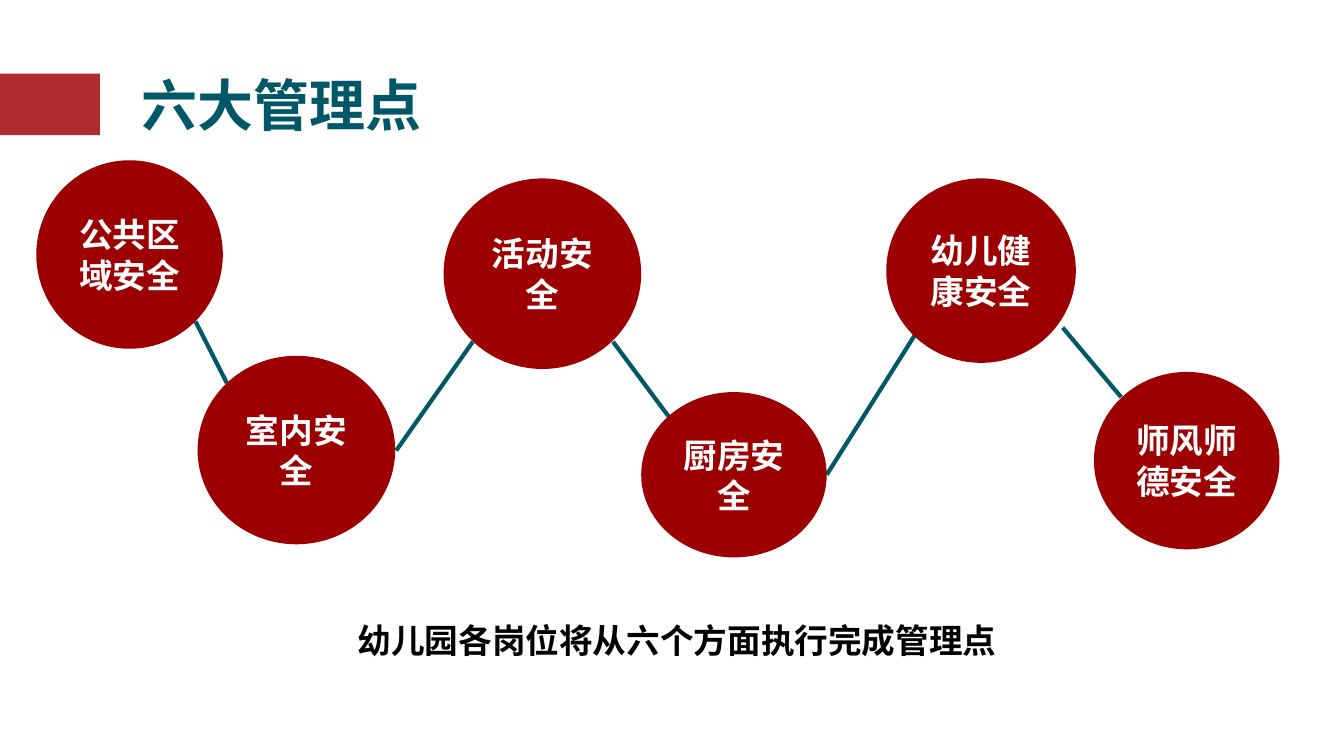
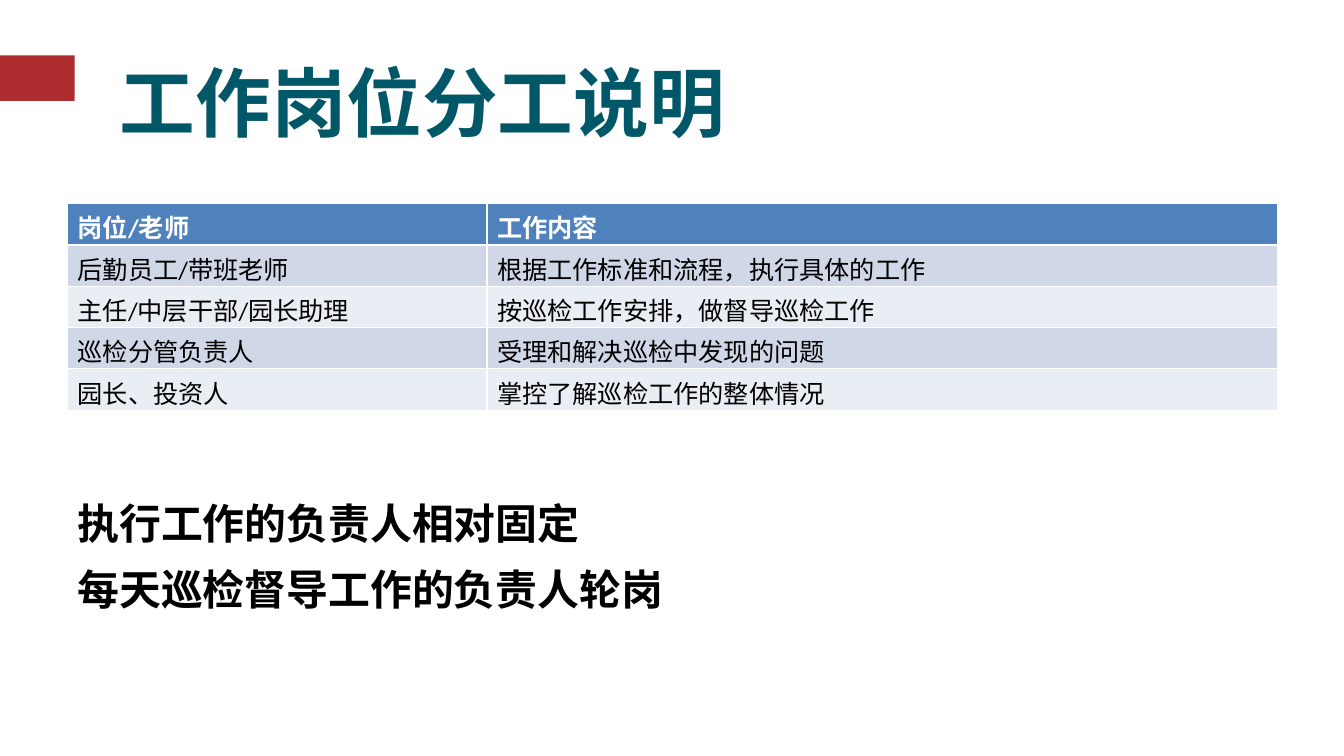
from lxml import etree
from pptx import Presentation
from pptx.dml.color import RGBColor
from pptx.enum.shapes import MSO_CONNECTOR, MSO_SHAPE
from pptx.enum.text import MSO_ANCHOR, PP_ALIGN
from pptx.oxml.ns import qn
from pptx.util import Inches, Pt

STRAIGHT = MSO_CONNECTOR.STRAIGHT
RECTANGLE, OVAL = MSO_SHAPE.RECTANGLE, MSO_SHAPE.OVAL
MIDDLE, TOP = MSO_ANCHOR.MIDDLE, MSO_ANCHOR.TOP
LEFT, CENTER = PP_ALIGN.LEFT, PP_ALIGN.CENTER

COLORS = {
    "teal": "005768", "tab": "AE2C2E", "circle": "9C0000",
    "white": "FFFFFF", "black": "000000",
    "header": "4F81BD", "odd_row": "D0D8E8", "even_row": "E9EDF4",
}
CJK_FONT = "Noto Sans CJK SC"


def write(frame, text, size, color, bold=True, font=CJK_FONT,
          align=LEFT, anchor=MIDDLE, wrap=True, spacing=None):
    """Fill a text frame and format every paragraph alike."""
    frame.text = text
    frame.word_wrap = wrap
    frame.vertical_anchor = anchor
    for paragraph in frame.paragraphs:
        paragraph.alignment = align
        paragraph.line_spacing = spacing
        for run in paragraph.runs:
            run.font.size = Pt(size)
            run.font.bold = bold
            run.font.name = font
            run.font.color.rgb = RGBColor.from_string(COLORS[color])
            east_asian = etree.SubElement(run.font._element, qn("a:ea"))
            east_asian.set("typeface", CJK_FONT)


def add_block(slide, preset, box, color):
    """Add a plain filled shape without outline or shadow."""
    block = slide.shapes.add_shape(preset, *map(Inches, box))
    block.shadow.inherit = False
    block.fill.solid()
    block.fill.fore_color.rgb = RGBColor.from_string(COLORS[color])
    block.line.fill.background()
    return block


prs = Presentation()
prs.slide_width, prs.slide_height = Inches(13.33), Inches(7.5)
blank = prs.slide_layouts[6]

# Shared heading: red tab at the left edge and teal title
headings = [
    ("六大管理点", 40, (1.31, 0.41, 3.3, 1.25), (-0.01, 0.73, 1, 0.61)),
    ("工作岗位分工说明", 54, (1.09, 0.48, 11.5, 1.04), (-0.01, 0.55, 0.75, 0.45)),
]
slides = []
for title, size, title_box, tab_box in headings:
    slide = prs.slides.add_slide(blank)
    heading = slide.shapes.add_textbox(*map(Inches, title_box))
    write(heading.text_frame, title, size, "teal")
    add_block(slide, RECTANGLE, tab_box, "tab")
    slides.append(slide)
points_slide, duties_slide = slides

# Slide 1: six management points joined in a zigzag
links = [
    (1.94, 3.19, 2.25, 3.8),
    (3.93, 4.47, 4.69, 3.39),
    (6.08, 3.39, 6.63, 4.13),
    (8.2, 4.71, 9.07, 3.33),
    (11.12, 3.94, 10.54, 3.25),
]
for ends in links:
    link = points_slide.shapes.add_connector(STRAIGHT, *map(Inches, ends))
    link.line.color.rgb = RGBColor.from_string(COLORS["teal"])
    link.line.width = Pt(3)
    etree.SubElement(link._element.spPr, qn("a:effectLst"))

points = [
    ("公共区域安全", (0.36, 1.59, 1.85, 1.87)),
    ("室内安全", (1.96, 3.53, 1.96, 1.87)),
    ("活动安全", (4.4, 1.77, 1.96, 1.89)),
    ("厨房安全", (6.36, 3.89, 1.84, 1.64)),
    ("幼儿健康安全", (8.79, 1.77, 1.88, 1.83)),
    ("师风师德安全", (10.85, 3.69, 1.84, 1.76)),
]
for name, box in points:
    circle = add_block(points_slide, OVAL, box, "circle")
    write(circle.text_frame, name, 24, "white", align=CENTER)

summary = points_slide.shapes.add_textbox(
    Inches(3.45), Inches(6.1), Inches(6.6), Inches(0.5))
write(summary.text_frame, "幼儿园各岗位将从六个方面执行完成管理点", 24, "black",
      anchor=TOP, wrap=False)

# Slide 2: table of duties and closing remarks
duties = [
    ("岗位/老师", "工作内容"),
    ("后勤员工/带班老师", "根据工作标准和流程，执行具体的工作"),
    ("主任/中层干部/园长助理", "按巡检工作安排，做督导巡检工作"),
    ("巡检分管负责人", "受理和解决巡检中发现的问题"),
    ("园长、投资人", "掌控了解巡检工作的整体情况"),
]
duty_table = duties_slide.shapes.add_table(
    len(duties), 2, Inches(0.67), Inches(2.02), Inches(12), Inches(2.05)).table
for column, width in zip(duty_table.columns, (4.16, 7.84)):
    column.width = Inches(width)
for row, texts in enumerate(duties):
    is_header = row == 0
    fill = "header" if is_header else ("even_row", "odd_row")[row % 2]
    for col, text in enumerate(texts):
        cell = duty_table.cell(row, col)
        cell.fill.solid()
        cell.fill.fore_color.rgb = RGBColor.from_string(COLORS[fill])
        write(cell.text_frame, text, 18, "white" if is_header else "black",
              bold=is_header, font="Calibri", anchor=TOP)

remarks = duties_slide.shapes.add_textbox(
    Inches(0.67), Inches(4.76), Inches(12), Inches(1.36))
write(remarks.text_frame, "执行工作的负责人相对固定\n每天巡检督导工作的负责人轮岗", 29.9, "black",
      spacing=1.3)

prs.save("out.pptx")
